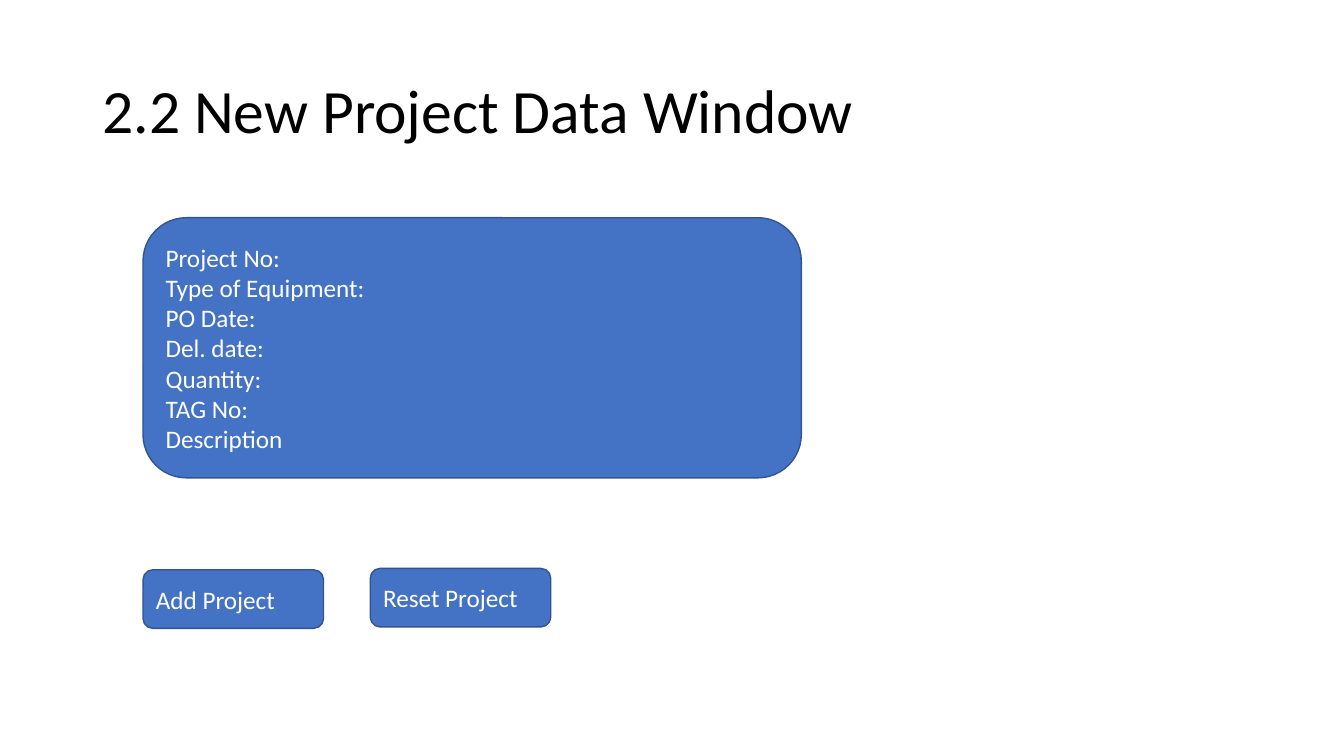
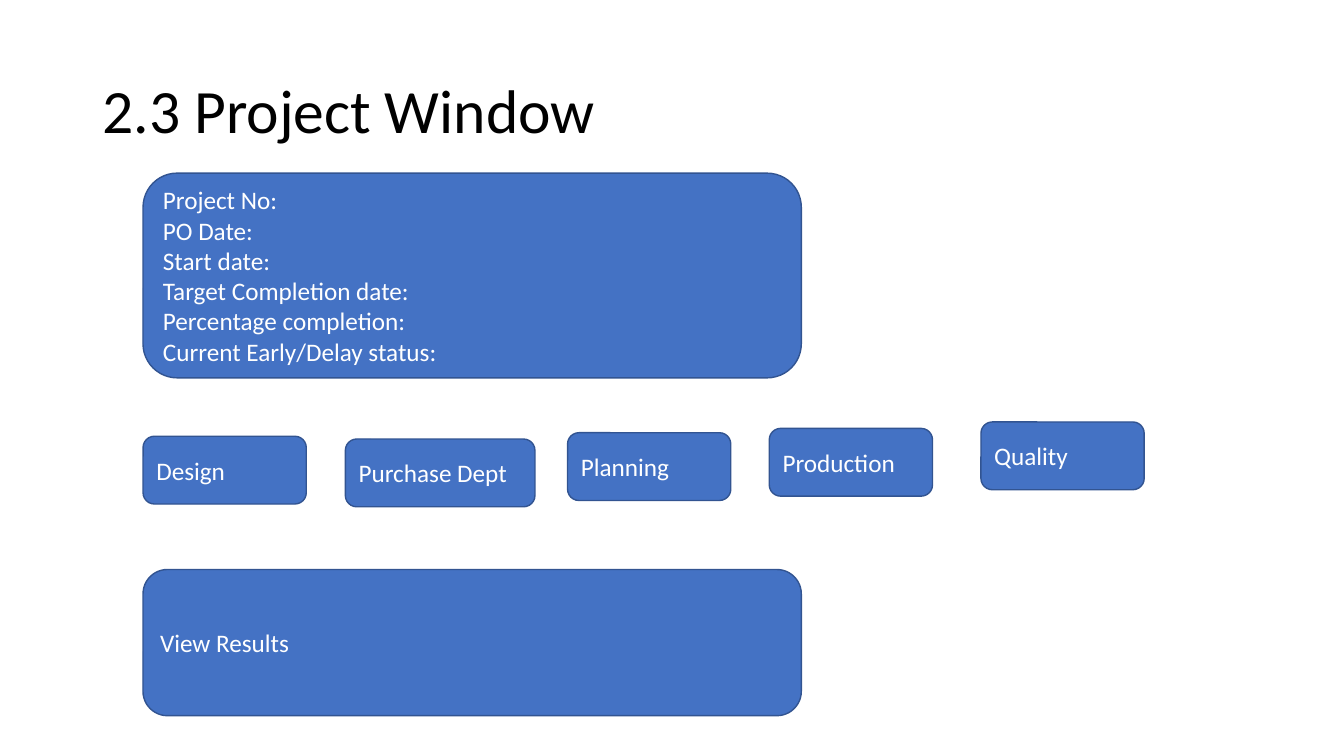
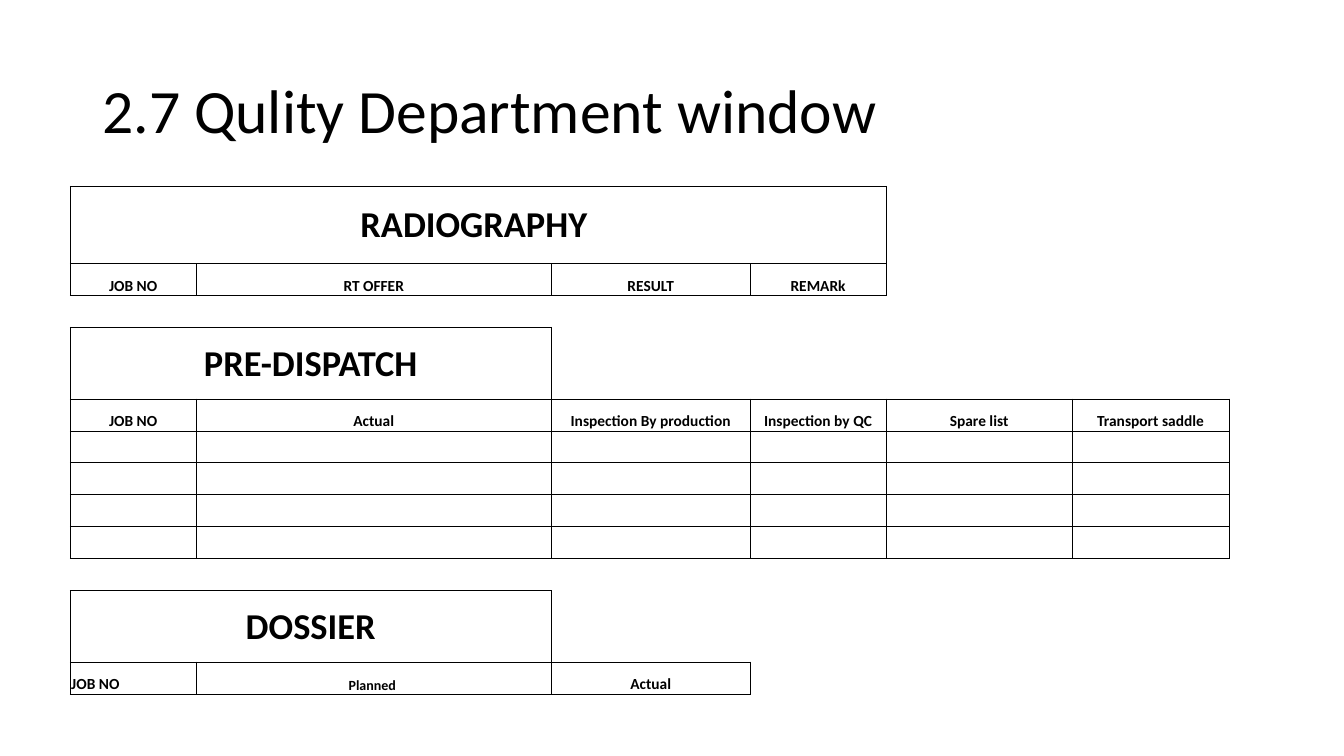
from pptx import Presentation
from pptx.dml.color import RGBColor as Rgb
from pptx.enum.shapes import MSO_SHAPE as Shape
from pptx.enum.text import MSO_ANCHOR as Anchor, PP_ALIGN as Align
from pptx.oxml.ns import qn
from pptx.util import Pt
from lxml.etree import SubElement as Sub

INK = {"text": "000000", "fill": "4472C4", "line": "325491", "light": "FFFFFF"}
FONT = "Calibri"
LEFT, WIDE = 102.2, 470.2
TITLE = (66.1, 28.8, 828, 104.4)

COLS = (90, 253.6, 142.1, 97.1, 132.9, 112.1)
ROW, HEAD = 22.8, 51.2
TALL = {1: 32.4, 4: HEAD, 11: HEAD}
BOXED = (4, 4, 4, 0, 2, 6, 6, 6, 6, 6, 0, 2, 3)
HEADS = ((0, 1, 3, "RADIOGRAPHY "), (4, 4, 1, "PRE-DISPATCH"), (11, 11, 1, "DOSSIER"))
LABELS = {
    2: ("JOB NO", "RT OFFER", "RESULT", "REMARk"),
    5: ("JOB NO", "Actual", "Inspection By production", "Inspection by QC",
        "Spare list", "Transport saddle"),
    12: ("JOB NO", "Planned ", "Actual"),
}
SIDES = {"lnL": (0, -1), "lnR": (0, 1), "lnT": (-1, 0), "lnB": (1, 0)}


def color(name):
    """Return the named colour."""
    return Rgb.from_string(INK[name])


def write(par, text, size, ink, bold=False):
    """Add one styled run to a paragraph."""
    run = par.add_run()
    run.text = text
    font = run.font
    font.name, font.size, font.bold = FONT, Pt(size), bold
    font.color.rgb = color(ink)


def title(slide, box, text):
    """Place the slide title in its box."""
    frame = slide.shapes.add_textbox(*map(Pt, box)).text_frame
    frame.word_wrap = True
    frame.vertical_anchor = Anchor.MIDDLE
    par = frame.paragraphs[0]
    par.line_spacing = 0.9
    write(par, text, 44, "text")


def panel(slide, box, lines):
    """Place a rounded panel with one paragraph a line."""
    shape = slide.shapes.add_shape(Shape.ROUNDED_RECTANGLE, *map(Pt, box))
    shape.shadow.inherit = False
    shape.fill.solid()
    shape.fill.fore_color.rgb = color("fill")
    shape.line.color.rgb = color("line")
    shape.line.width = Pt(1)
    frame = shape.text_frame
    frame.word_wrap = True
    frame.vertical_anchor = Anchor.MIDDLE
    for i, line in enumerate(lines):
        par = frame.add_paragraph() if i else frame.paragraphs[0]
        par.alignment = Align.LEFT
        write(par, line, 18, "light")


def buttons(slide, box, items):
    """Place buttons by their offsets from the corner of a box."""
    left, top, width, height = box
    for text, right, down, extra in items:
        panel(slide, (left + right, top + down, width + extra, height), [text])


def boxed(row, col):
    """Tell whether a grid cell is framed."""
    return 0 <= row < len(BOXED) and 0 <= col < BOXED[row]


def border(cell, row, col):
    """Draw the sides a cell shares with any framed cell."""
    props = cell._tc.get_or_add_tcPr()
    for i, (tag, (down, right)) in enumerate(SIDES.items()):
        line = props.makeelement(qn("a:" + tag), {"w": str(Pt(0.5))})
        props.insert(i, line)
        if boxed(row, col) or boxed(row + down, col + right):
            fill = Sub(line, qn("a:solidFill"))
            Sub(fill, qn("a:srgbClr"), val=INK["text"])
        else:
            Sub(line, qn("a:noFill"))


def label(cell, text, size, anchor, align=Align.CENTER):
    """Write a bold label in a cell."""
    cell.vertical_anchor = anchor
    par = cell.text_frame.paragraphs[0]
    par.alignment = align
    write(par, text, size, "text", True)


def grid(slide, left, top):
    """Place the quality table with its three sections."""
    highs = [TALL.get(i, ROW) for i in range(len(BOXED))]
    box = (left, top, sum(COLS), sum(highs))
    table = slide.shapes.add_table(len(highs), len(COLS), *map(Pt, box)).table
    table.first_row = table.horz_banding = False
    for col, width in zip(table.columns, COLS):
        col.width = Pt(width)
    for r, high in enumerate(highs):
        table.rows[r].height = Pt(high)
        for c in range(len(COLS)):
            cell = table.cell(r, c)
            cell.margin_left = cell.margin_right = cell.margin_top = Pt(0.7)
            cell.margin_bottom = 0
            cell.fill.background()
            border(cell, r, c)
    for first, last, end, text in HEADS:
        cell = table.cell(first, 0)
        cell.merge(table.cell(last, end))
        label(cell, text, 26, Anchor.MIDDLE)
    for r, texts in LABELS.items():
        for c, text in enumerate(texts):
            size = 10 if text == "Planned " else 11
            align = Align.LEFT if (r, c) == (12, 0) else Align.CENTER
            label(table.cell(r, c), text, size, Anchor.BOTTOM, align)


def entry(slide):
    """Fill the new project slide."""
    title(slide, TITLE, "2.2 New Project Data Window")
    panel(slide, (LEFT, 155.5, WIDE, 185.8), (
        "Project No:", "Type of Equipment:", "PO Date:", "Del. date:",
        "Quantity:", "TAG No:", "Description"))
    buttons(slide, (LEFT, 407, 128.9, 41.8), (
        ("Add Project", 0, 0, 0), ("Reset Project", 162.3, -1, 0)))


def project(slide):
    """Fill the project slide."""
    title(slide, TITLE, "2.3 Project Window")
    panel(slide, (LEFT, 123.7, WIDE, 146.2), (
        "Project No:", "PO Date:", "Start date:", "Target Completion date:",
        "Percentage completion:", "Current Early/Delay status:"))
    buttons(slide, (LEFT, 311.6, 116.6, 48.4), (
        ("Design", 0, 0, 0), ("Purchase Dept", 144.5, 2, 18.8),
        ("Planning", 303.2, -2.5, 0), ("Production", 447.3, -5.6, 0),
        ("Quality", 598.5, -10.2, 0)))
    panel(slide, (LEFT, 406.8, WIDE, 104.4), ["View Results"])


def quality(slide):
    """Fill the quality slide."""
    title(slide, TITLE, "2.7 Qulity Department window")
    grid(slide, 50.2, 133)


def main():
    """Build and save the deck."""
    deck = Presentation()
    deck.slide_width, deck.slide_height = Pt(960), Pt(540)
    for fill in (entry, project, quality):
        fill(deck.slides.add_slide(deck.slide_layouts[6]))
    deck.save("out.pptx")


if __name__ == "__main__":
    main()
